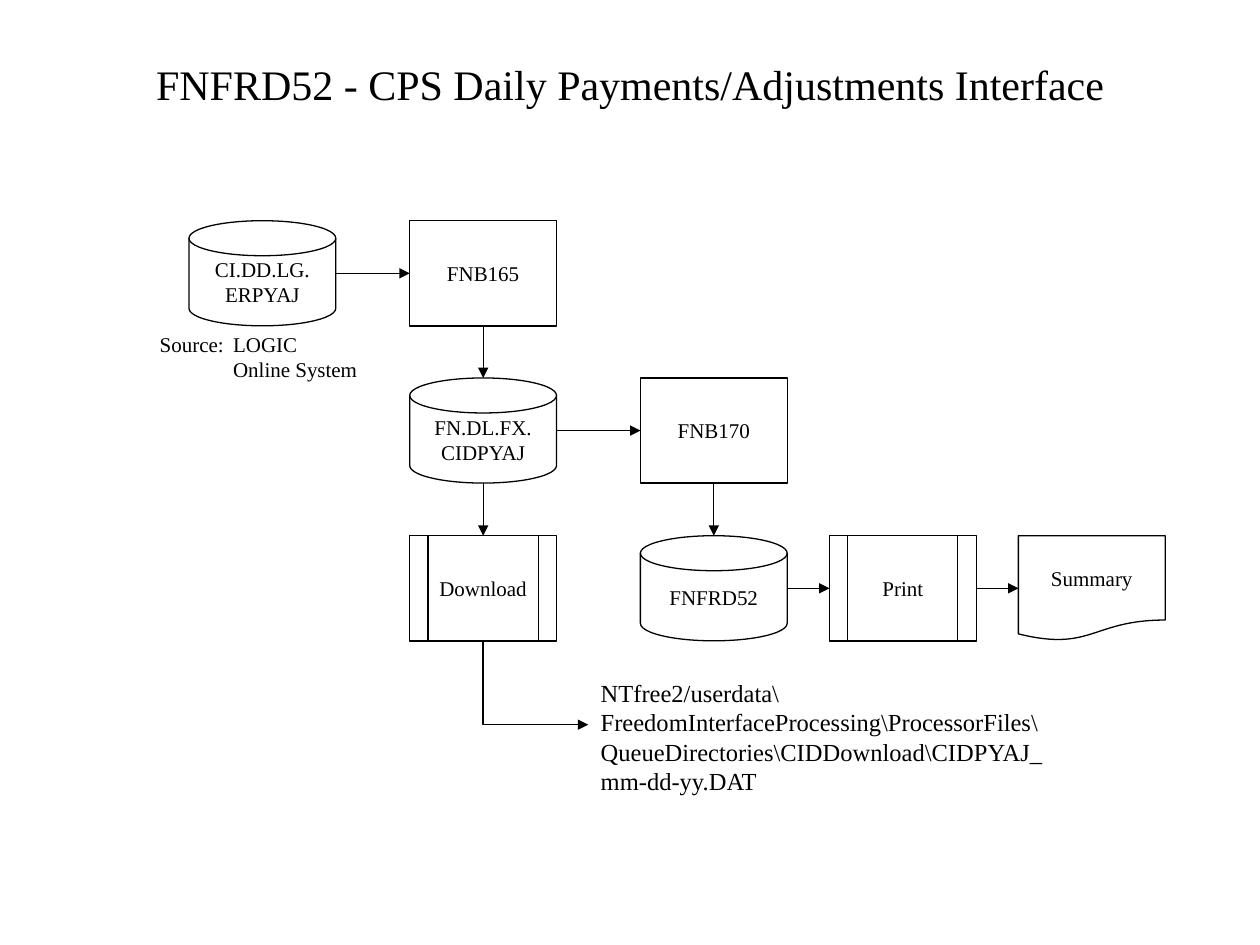
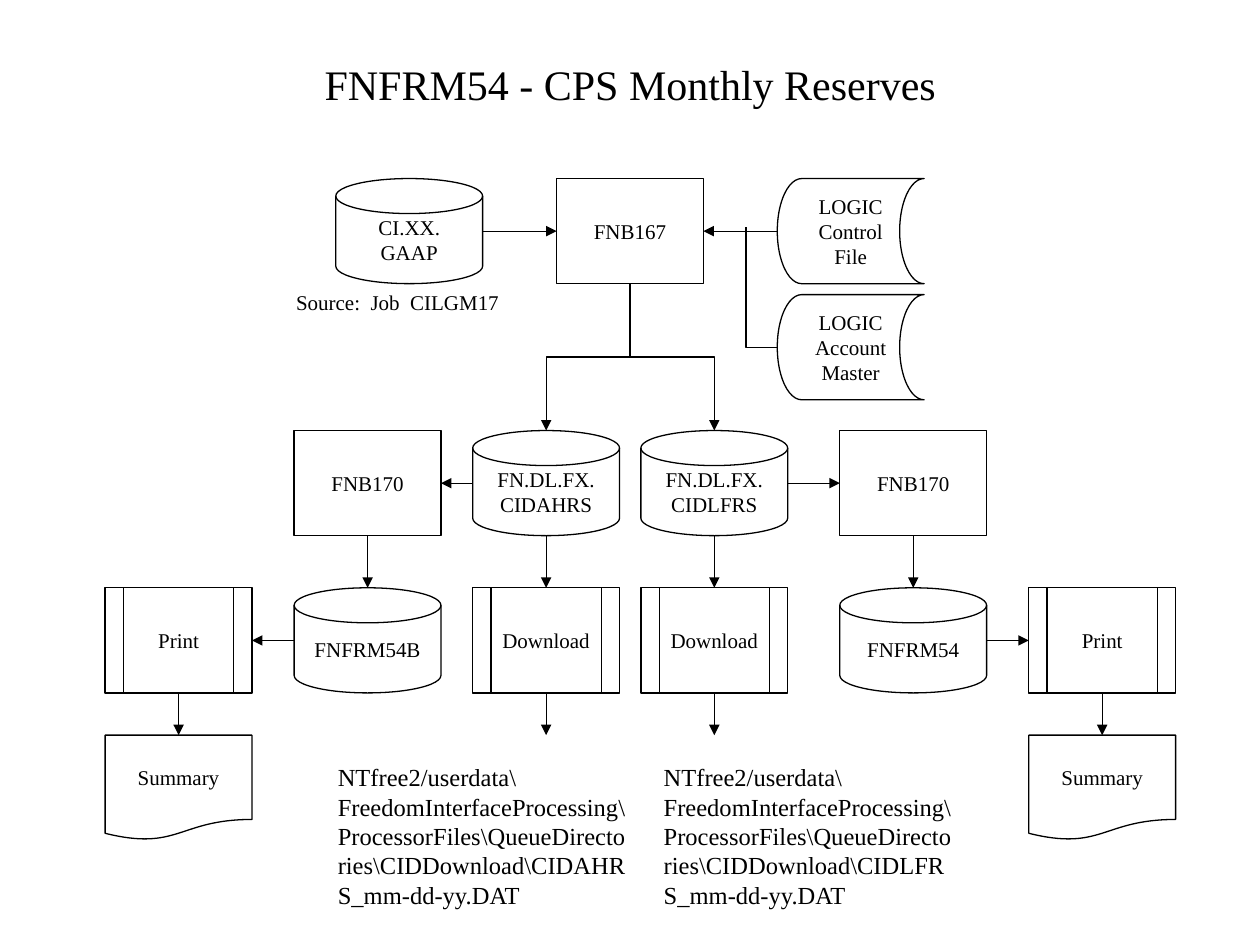
from lxml.etree import SubElement
from pptx import Presentation
from pptx.dml.color import RGBColor
from pptx.enum.shapes import MSO_CONNECTOR, MSO_SHAPE
from pptx.enum.text import MSO_ANCHOR, MSO_AUTO_SIZE, PP_ALIGN
from pptx.oxml.ns import qn
from pptx.util import Cm, Pt

PROCESS = MSO_SHAPE.FLOWCHART_PROCESS
DISK = MSO_SHAPE.FLOWCHART_MAGNETIC_DISK
JOB = MSO_SHAPE.FLOWCHART_PREDEFINED_PROCESS
DOCUMENT = MSO_SHAPE.FLOWCHART_DOCUMENT
STORAGE = MSO_SHAPE.FLOWCHART_STORED_DATA

FILE_FOLDER = (r"NTfree2/userdata\ FreedomInterfaceProcessing\ProcessorFiles"
               r"\QueueDirectories\CIDDownload")


def colour(hex_string):
    return RGBColor.from_string(hex_string)


def edge(shape, side):
    """Middle of one side of a shape."""
    across = {"left": 0, "right": 1}.get(side, 0.5)
    down = {"top": 0, "bottom": 1}.get(side, 0.5)
    return (int(shape.left + across * shape.width),
            int(shape.top + down * shape.height))


class FlowSlide:
    font = "Times New Roman"
    ink = "000000"
    paper = "FFFFFF"
    line_width = Pt(0.75)
    node_size = Cm(2.96), Cm(2.12)

    def __init__(self, presentation, title):
        self.slide = presentation.slides.add_slide(presentation.slide_layouts[5])
        shape = self.slide.shapes.title
        shape.left, shape.top = Cm(1.91), Cm(1.06)
        shape.width, shape.height = Cm(21.59), Cm(1.27)
        shape.text_frame.text = title
        shape.text_frame.auto_size = MSO_AUTO_SIZE.NONE
        shape.text_frame.vertical_anchor = MSO_ANCHOR.MIDDLE
        self.format_text(shape.text_frame, 24, PP_ALIGN.CENTER)

    def format_text(self, text_frame, size, alignment=PP_ALIGN.LEFT):
        for paragraph in text_frame.paragraphs:
            paragraph.alignment = alignment
            for run in paragraph.runs:
                run.font.name = self.font
                run.font.size = Pt(size)
                run.font.color.rgb = colour(self.ink)

    def format_line(self, line):
        line.color.rgb = colour(self.ink)
        line.width = self.line_width

    def node(self, kind, left, top, text):
        shape = self.slide.shapes.add_shape(kind, Cm(left), Cm(top), *self.node_size)
        shape.shadow.inherit = False
        if kind in (DOCUMENT, STORAGE):
            shape.fill.background()
        else:
            shape.fill.solid()
            shape.fill.fore_color.rgb = colour(self.paper)
        self.format_line(shape.line)
        shape.text_frame.text = text
        shape.text_frame.word_wrap = False
        shape.text_frame.vertical_anchor = MSO_ANCHOR.MIDDLE
        self.format_text(shape.text_frame, 12, PP_ALIGN.CENTER)
        return shape

    def text(self, left, top, width, height, text, size):
        box = self.slide.shapes.add_textbox(Cm(left), Cm(top), Cm(width), Cm(height))
        box.text_frame.word_wrap = True
        box.text_frame.text = text
        self.format_text(box.text_frame, size)
        return box.text_frame

    def source_note(self, left, top, height, text, tabs):
        """Note whose further lines are indented to the first tab stop."""
        first, *others = self.text(left, top, 4.88, height, text, 12).paragraphs
        tab_list = SubElement(first._p.get_or_add_pPr(), qn("a:tabLst"))
        for position in tabs:
            SubElement(tab_list, qn("a:tab"), pos=str(Cm(position)), algn="l")
        for paragraph in others:
            paragraph._p.get_or_add_pPr().set("marL", str(Cm(tabs[0])))

    def file_path(self, left, top, width, height, name):
        text_frame = self.text(left, top, width, height, FILE_FOLDER + name, 14)
        text_frame.paragraphs[0].space_before = Pt(8.8)

    def connector(self, kind, start, end, arrow=True):
        connector = self.slide.shapes.add_connector(kind, *start, *end)
        self.format_line(connector.line)
        properties = connector._element.spPr
        if arrow:
            SubElement(properties.find(qn("a:ln")), qn("a:tailEnd"), type="triangle")
        SubElement(properties, qn("a:effectLst"))
        return properties

    def arrow(self, start, end):
        self.connector(MSO_CONNECTOR.STRAIGHT, start, end)

    def corner(self, start, end):
        """Plain line with one bend, leaving sideways."""
        properties = self.connector(MSO_CONNECTOR.ELBOW, start, end, arrow=False)
        properties.find(qn("a:prstGeom")).set("prst", "bentConnector2")

    def elbow_down(self, start, end, bends):
        """Arrow that leaves downwards: a turned frame around the same centre."""
        (x1, y1), (x2, y2) = start, end
        width, height = y2 - y1, abs(x2 - x1)
        left, top = (x1 + x2 - width) // 2, (y1 + y2 - height) // 2
        properties = self.connector(MSO_CONNECTOR.ELBOW, (left, top),
                                    (left + width, top + height))
        frame = properties.find(qn("a:xfrm"))
        to_right = x2 > x1
        frame.set("rot", str((270 if to_right else 90) * 60000))
        if to_right:
            frame.set("flipH", "1")
        properties.find(qn("a:prstGeom")).set("prst", f"bentConnector{bends + 1}")


def daily_payments(presentation):
    page = FlowSlide(presentation, "FNFRD52 - CPS Daily Payments/Adjustments Interface")
    rows = 4.45, 7.62, 10.8
    main, report = 8.26, 12.91

    # Input, programs and files
    source = page.node(DISK, 3.81, rows[0], "CI.DD.LG.\nERPYAJ")
    extract = page.node(PROCESS, main, rows[0], "FNB165")
    dataset = page.node(DISK, main, rows[1], "FN.DL.FX.\nCIDPYAJ")
    download = page.node(JOB, main, rows[2], "Download")
    reporting = page.node(PROCESS, report, rows[1], "FNB170")
    report_file = page.node(DISK, report, rows[2], "FNFRD52")
    printing = page.node(JOB, 16.72, rows[2], "Print")
    summary = page.node(DOCUMENT, 20.53, rows[2], "Summary")

    # Flow
    for first, second in ((source, extract), (dataset, reporting),
                          (report_file, printing), (printing, summary)):
        page.arrow(edge(first, "right"), edge(second, "left"))
    for first, second in ((extract, dataset), (dataset, download),
                          (reporting, report_file)):
        page.arrow(edge(first, "bottom"), edge(second, "top"))
    page.elbow_down(edge(download, "bottom"), (Cm(11.86), Cm(14.61)), bends=1)

    # Notes
    page.source_note(2.97, 6.56, 1.48, "Source:\tLOGIC\nOnline System", [1.48])
    page.file_path(11.86, 13.54, 9.53, 2.12, r"\CIDPYAJ_mm-dd-yy.DAT")


def monthly_reserves(presentation):
    page = FlowSlide(presentation, "FNFRM54 - CPS Monthly Reserves")
    rows = 3.6, 8.68, 11.85, 14.82

    # Inputs
    source = page.node(DISK, 6.77, rows[0], "CI.XX.\nGAAP")
    extract = page.node(PROCESS, 11.22, rows[0], "FNB167")
    control = page.node(STORAGE, 15.67, rows[0], "LOGIC\nControl\nFile")
    master = page.node(STORAGE, 15.67, 5.94, "LOGIC\nAccount\nMaster")
    page.arrow(edge(source, "right"), edge(extract, "left"))
    page.arrow(edge(control, "left"), edge(extract, "right"))
    page.corner(edge(master, "left"), (Cm(15.04), Cm(4.57)))
    page.source_note(5.72, 5.72, 0.84, "Source:\tJob\tCILGM17", [1.5, 2.3])

    # Mirrored branches: columns run from the centre outwards
    branches = (
        ("CIDAHRS", "FNFRM54B", (9.53, 5.93, 2.12), 6.56, "left", "right"),
        ("CIDLFRS", "FNFRM54", (12.92, 16.93, 20.74), 13.13, "right", "left"),
    )
    for name, report, columns, path_left, outer, inner in branches:
        main, middle, far = columns
        dataset = page.node(DISK, main, rows[1], f"FN.DL.FX.\n{name}")
        download = page.node(JOB, main, rows[2], "Download")
        reporting = page.node(PROCESS, middle, rows[1], "FNB170")
        report_file = page.node(DISK, middle, rows[2], report)
        printing = page.node(JOB, far, rows[2], "Print")
        summary = page.node(DOCUMENT, far, rows[3], "Summary")

        page.elbow_down(edge(extract, "bottom"), edge(dataset, "top"), bends=2)
        for first, second in ((dataset, reporting), (report_file, printing)):
            page.arrow(edge(first, outer), edge(second, inner))
        for first, second in ((dataset, download), (reporting, report_file),
                              (printing, summary)):
            page.arrow(edge(first, "bottom"), edge(second, "top"))
        x, y = edge(download, "bottom")
        page.arrow((x, y), (x, y + Cm(0.85)))
        page.file_path(path_left, 15.24, 6.35, 2.75, rf"\{name}_mm-dd-yy.DAT")


def main():
    presentation = Presentation()
    presentation.slide_width, presentation.slide_height = Cm(25.4), Cm(19.05)
    daily_payments(presentation)
    monthly_reserves(presentation)
    presentation.save("out.pptx")


if __name__ == "__main__":
    main()
